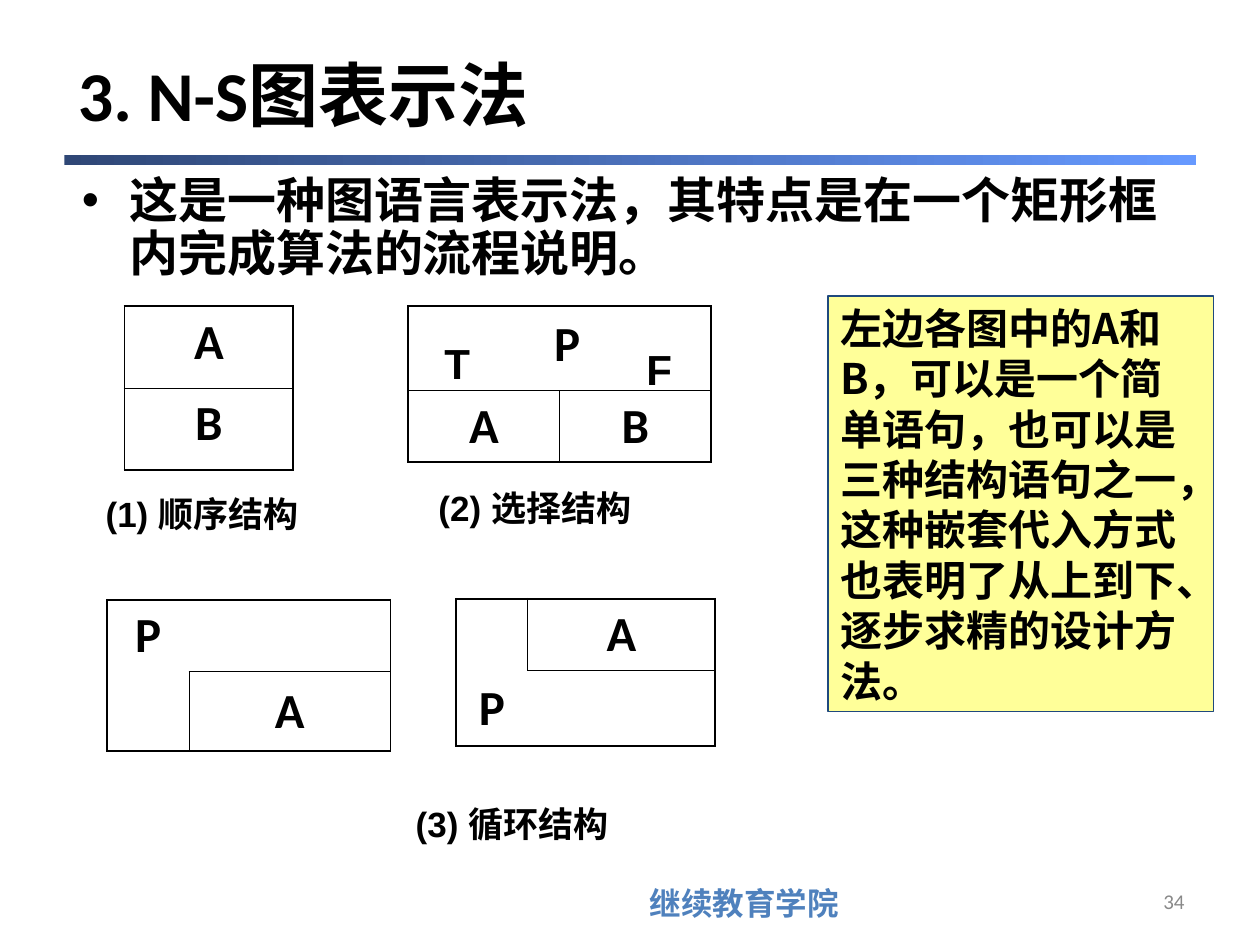
from lxml.etree import SubElement
from pptx import Presentation
from pptx.dml.color import RGBColor
from pptx.enum.shapes import MSO_SHAPE as SHAPE
from pptx.enum.text import MSO_ANCHOR as ANCHOR, PP_ALIGN as ALIGN
from pptx.oxml import parse_xml
from pptx.oxml.ns import nsdecls, qn
from pptx.util import Cm, Pt

COLORS = {
    "text": "000000", "school": "4F81BD", "number": "898989",
    "bar_from": "2F4776", "bar_to": "6699FF",
    "note": "FFFF99", "note_line": "1F497D",
}
HEAD, PLAIN, CJK = "Calibri", "Arial", "Noto Sans CJK JP"
THICK, THIN = 1.08, 0.45

# Content: lengths in cm
TITLE = "3. N-S图表示法"
INTRO = "这是一种图语言表示法，其特点是在一个矩形框内完成算法的流程说明。"
NOTE = ("左边各图中的A和B，可以是一个简单语句，也可以是三种结构语句之一，"
        "这种嵌套代入方式也表明了从上到下、逐步求精的设计方法。")
SCHOOL = "继续教育学院"
PAGE = "34"

# Each cell is (text, sides with a thin inner line)
DIAGRAMS = [
    dict(at=(2.51, 6.17), cols=[3.4], rows=[1.65, 1.65], anchor=ANCHOR.TOP,
         cells=[[("A", "B")], [("B", "T")]]),
    dict(at=(8.23, 6.17), cols=[3.05, 3.05], rows=[1.7, 1.44], anchor=ANCHOR.TOP,
         cells=[[("", "B"), ("", "B")], [("A", "TR"), ("B", "TL")]]),
    dict(at=(2.16, 12.09), cols=[1.65, 4.06], rows=[1.45, 1.6], anchor=ANCHOR.MIDDLE,
         cells=[[("P", ""), ("", "B")], [("", "R"), ("A", "LT")]]),
    dict(at=(9.19, 12.07), cols=[1.45, 3.78], rows=[1.45, 1.52], anchor=ANCHOR.MIDDLE,
         cells=[[("", "R"), ("A", "LB")], [("P", ""), ("", "T")]]),
]
CAPTIONS = [
    ("(1) 顺序结构", 1.88, 9.8),
    ("(2) 选择结构", 8.59, 9.68),
    ("(3) 循环结构", 8.13, 16.05),
]
BRANCHES = [
    ("P", (10.92, 6.17, 1.22, 1.45), 28, HEAD),
    ("T", (8.71, 6.68, 1.04, 1.27), 24, PLAIN),
    ("F", (12.78, 6.81, 1.04, 1.27), 24, PLAIN),
]


def rgb(name):
    return RGBColor.from_string(COLORS[name])


def write(tf, text, size, font, color="text", bold=True, align=ALIGN.LEFT):
    p = tf.paragraphs[0]
    p.alignment = align
    r = p.add_run()
    r.text = text
    r.font.size, r.font.bold, r.font.name = Pt(size), bold, font
    r.font.color.rgb = rgb(color)
    SubElement(r.font._element, qn("a:ea"), typeface=font)
    return p


def add_text(box, text, size, font, anchor=ANCHOR.TOP, **style):
    tf = s.shapes.add_textbox(*map(Cm, box)).text_frame
    tf.word_wrap = True
    tf.vertical_anchor = anchor
    return write(tf, text, size, font, **style)


def add_rect(box):
    sp = s.shapes.add_shape(SHAPE.RECTANGLE, *map(Cm, box))
    sp.shadow.inherit = False
    return sp


def set_borders(cell, widths):
    for i, (side, width) in enumerate(widths.items()):
        paint = (f'<a:solidFill><a:srgbClr val="{COLORS["text"]}"/></a:solidFill>'
                 if width else "<a:noFill/>")
        cell._tc.get_or_add_tcPr().insert(i, parse_xml(
            f'<a:ln{side} {nsdecls("a")} w="{Pt(width)}">{paint}</a:ln{side}>'))


def add_diagram(at, cols, rows, anchor, cells):
    n_rows, n_cols = len(rows), len(cols)
    box = (*at, sum(cols), sum(rows))
    table = s.shapes.add_table(n_rows, n_cols, *map(Cm, box)).table
    table.first_row = table.horz_banding = False
    for column, width in zip(table.columns, cols):
        column.width = Cm(width)
    for row, height in zip(table.rows, rows):
        row.height = Cm(height)
    for y, line in enumerate(cells):
        for x, (text, thin) in enumerate(line):
            cell = table.cell(y, x)
            cell.fill.background()
            cell.vertical_anchor = anchor
            outer = {"L": x == 0, "R": x == n_cols - 1,
                     "T": y == 0, "B": y == n_rows - 1}
            set_borders(cell, {side: THICK if edge else THIN if side in thin else 0
                               for side, edge in outer.items()})
            if text:
                write(cell.text_frame, text, 28, HEAD, align=ALIGN.CENTER)


prs = Presentation()
prs.slide_width, prs.slide_height = Cm(25.4), Cm(19.05)
s = prs.slides.add_slide(prs.slide_layouts[6])

# Footer school name and title bar
add_text((12.85, 17.7, 4.6, 1.02), SCHOOL, 18, PLAIN, color="school")
bar = add_rect((1.3, 3.12, 22.81, 0.2))
bar.line.fill.background()
bar.fill.gradient()
bar.fill.gradient_angle = 0
for stop, name in zip(bar.fill.gradient_stops, ("bar_from", "bar_to")):
    stop.color.rgb = rgb(name)

# Title and bulleted introduction
add_text((1.32, 0.61, 22.86, 2.57), TITLE, 40, HEAD, anchor=ANCHOR.MIDDLE)
p = add_text((1.4, 3.43, 22.35, 2.49), INTRO, 28, HEAD)
p.line_spacing = 0.9
pPr = p._p.get_or_add_pPr()
pPr.set("marL", str(Cm(0.96)))
pPr.set("indent", str(-Cm(0.96)))
SubElement(pPr, qn("a:buFont"), typeface=PLAIN)
SubElement(pPr, qn("a:buChar"), char="•")

# Diagrams, branch labels and captions
for diagram in DIAGRAMS:
    add_diagram(**diagram)
for text, box, size, font in BRANCHES:
    add_text(box, text, size, font)
for text, left, top in CAPTIONS:
    add_text((left, top, 5.05, 1.09), text, 20, PLAIN)

# Explanatory note
note = add_rect((16.69, 5.97, 7.77, 8.38))
note.fill.solid()
note.fill.fore_color.rgb = rgb("note")
note.line.color.rgb = rgb("note_line")
note.line.width = Pt(0.75)
note.text_frame.word_wrap = True
note.text_frame.vertical_anchor = ANCHOR.TOP
write(note.text_frame, NOTE, 24, CJK).line_spacing = Pt(28.8)

# Slide number
add_text((18.21, 17.65, 5.92, 1.02), PAGE, 12, HEAD, anchor=ANCHOR.MIDDLE,
         color="number", bold=False, align=ALIGN.RIGHT)

prs.save("out.pptx")
